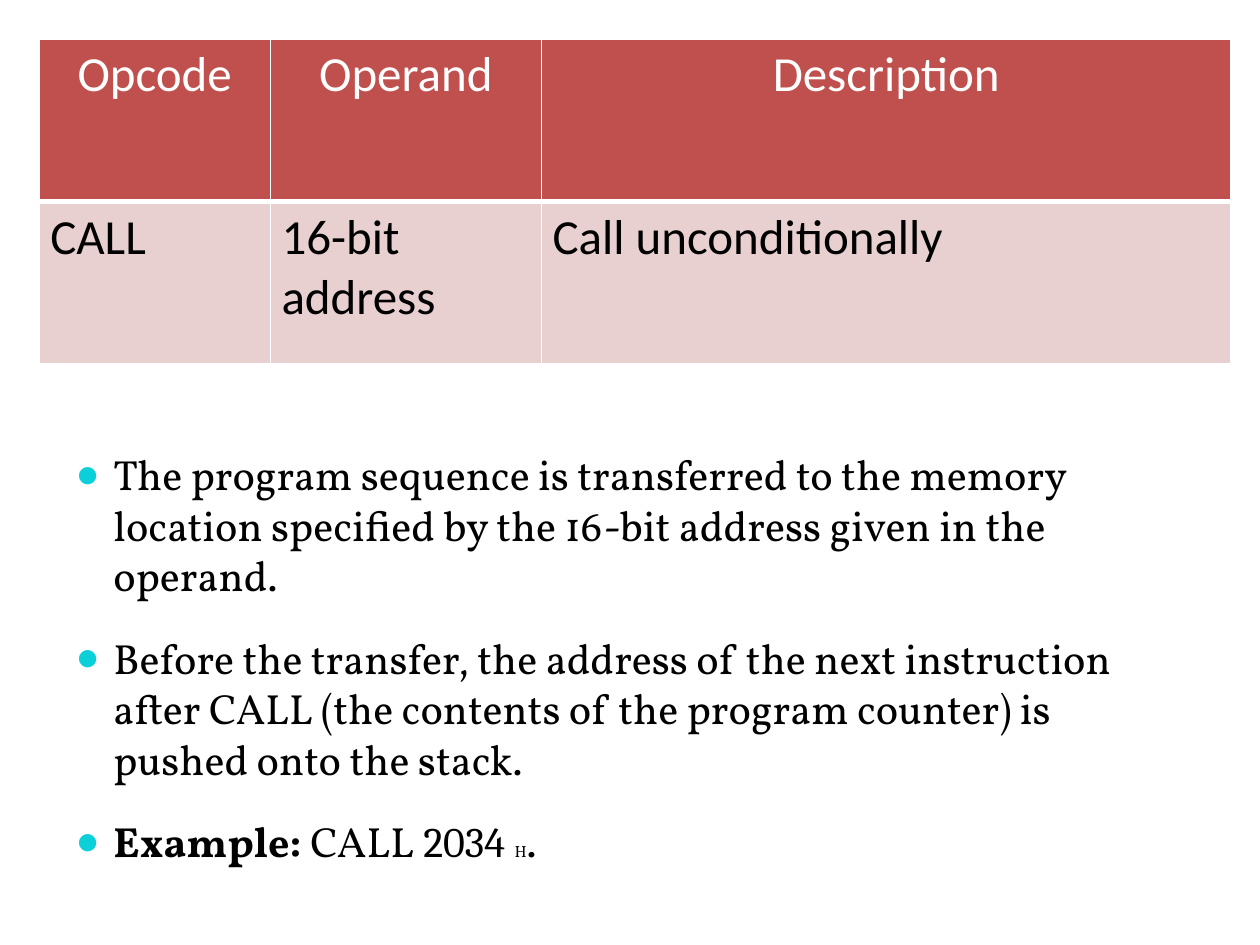
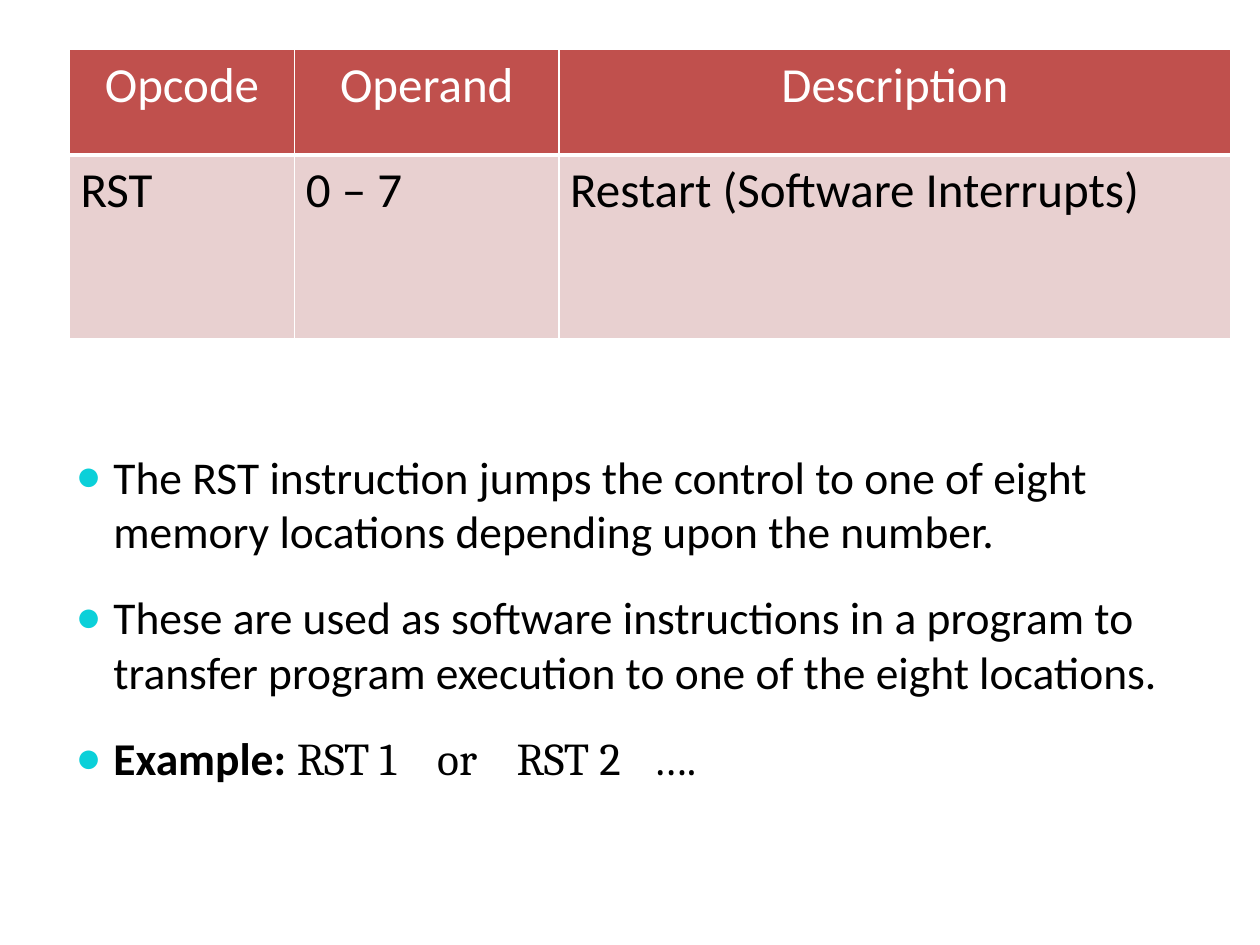
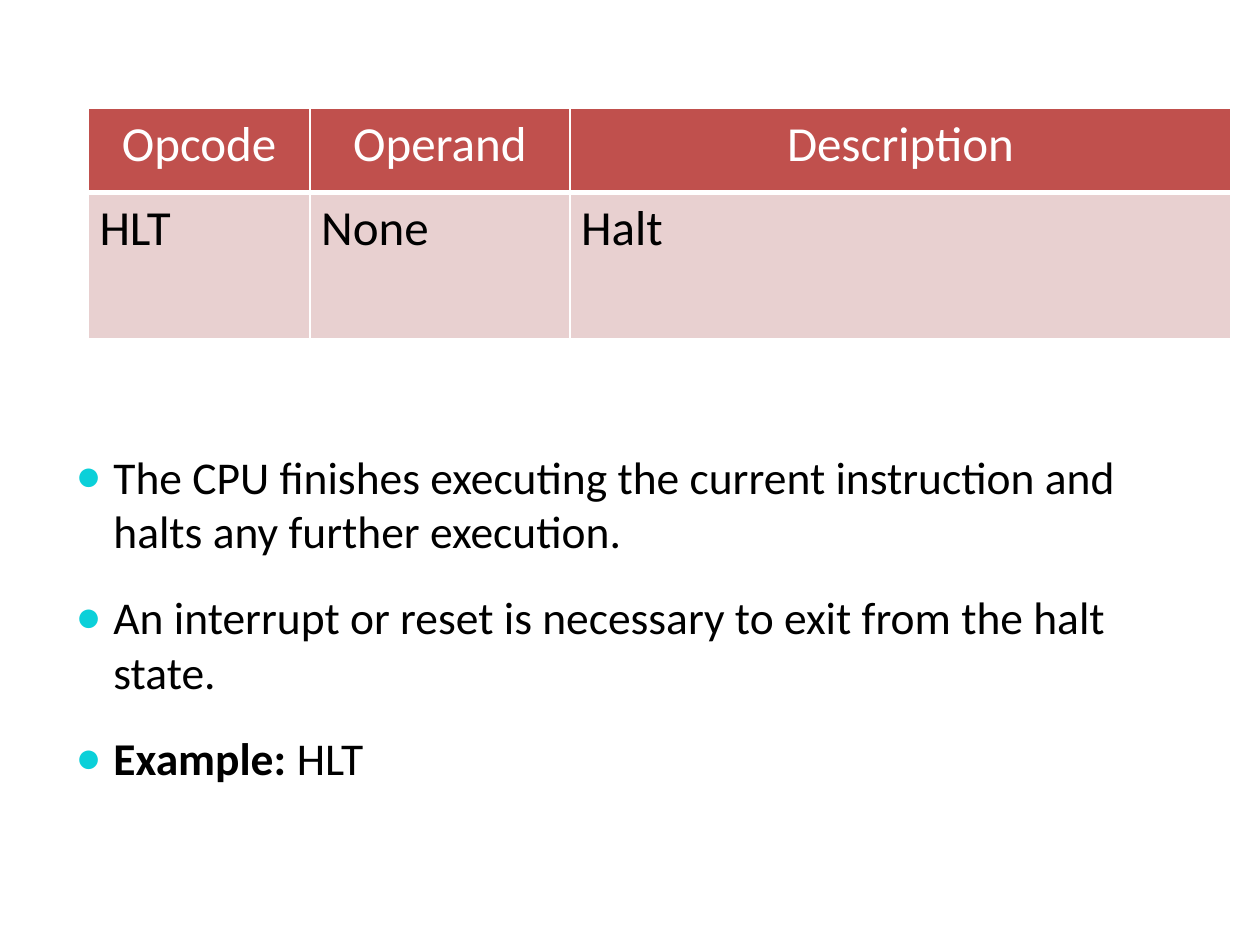
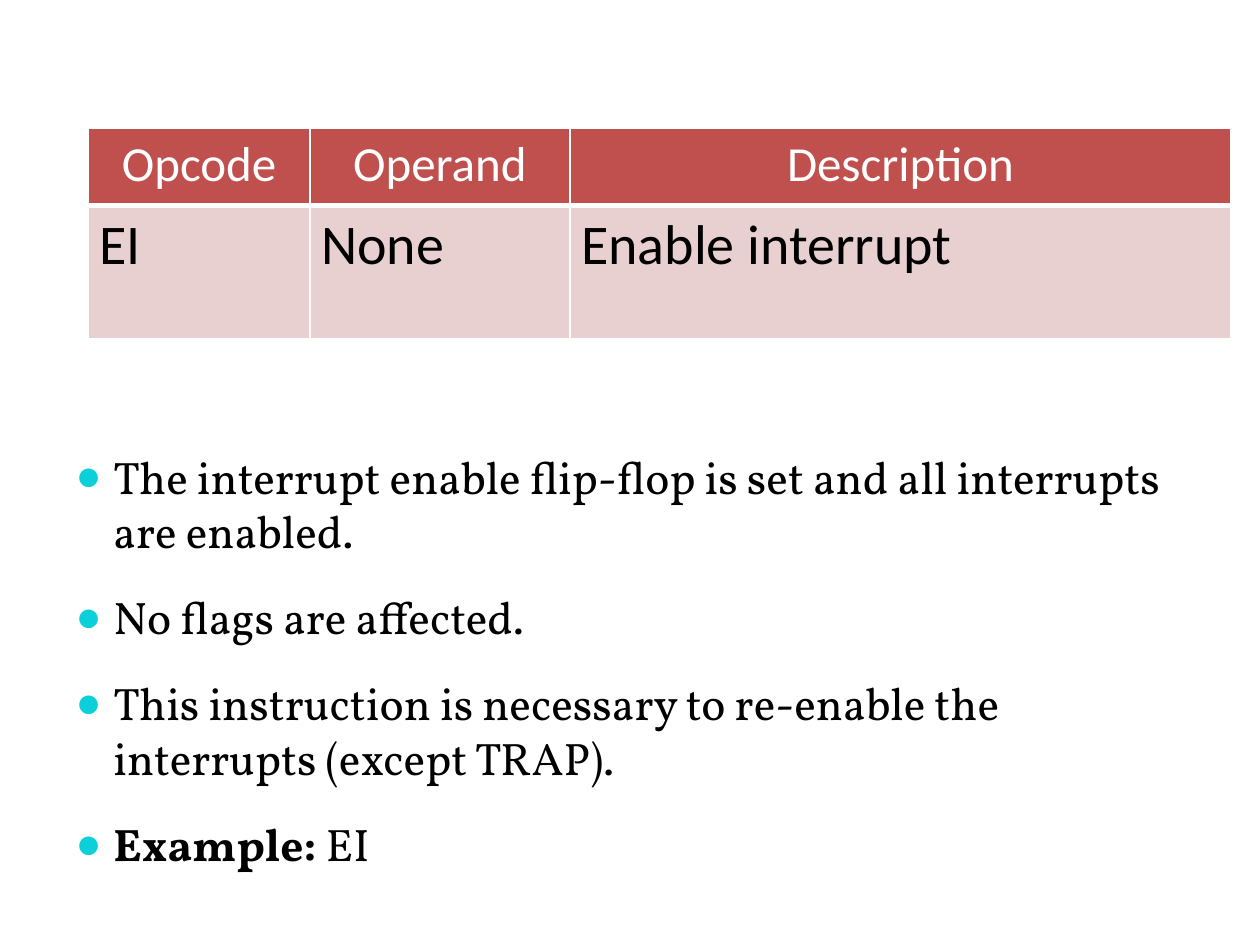
from lxml import etree
from pptx import Presentation
from pptx.dml.color import RGBColor
from pptx.enum.text import MSO_AUTO_SIZE, PP_ALIGN
from pptx.oxml.ns import qn
from pptx.util import Inches, Pt

CENTER, LEFT = PP_ALIGN.CENTER, PP_ALIGN.LEFT
NO_AUTOFIT = MSO_AUTO_SIZE.NONE

WHITE = RGBColor(0xFF, 0xFF, 0xFF)
BLACK = RGBColor(0x00, 0x00, 0x00)
HEADER_RED = RGBColor(0xC0, 0x50, 0x4D)
ROW_PINK = RGBColor(0xE8, 0xD0, 0xD0)
BULLET_CYAN = RGBColor(0x0B, 0xD0, 0xD9)

HEADERS = ["Opcode", "Operand", "Description"]
COLUMN_SHARES = [0.194, 0.2275, 0.5785]
TABLE_RIGHT = 9.77
BODY_LEFT, BODY_TOP, BODY_WIDTH = 0.5, 3.51, 9
EXAMPLE_TABS = [2.87, 3.5, 4.58]

# A bullet is a list of runs: (text, font changes from the slide's body font)
BOLD = {"bold": True}
SERIF = {"name": "Cambria"}
SLIDES = [
    {
        "left": 0.31, "top": 0.31, "rows": [1.29, 1.29], "row_size": 28,
        "cells": ["CALL", "16-bit address", "Call unconditionally"],
        "font": "Vollkorn", "size": 24.1, "body_height": 3.31,
        "bullets": [
            [("The program sequence is transferred to the memory location "
              "specified by the 16-bit address given in the operand.", {})],
            [("Before the transfer, the address of the next instruction after "
              "CALL (the contents of the program counter) is pushed onto the "
              "stack.", {})],
            [("Example:", BOLD), (" CALL", {}), (" 2034 ", SERIF),
             ("H", {"size": Pt(9.2)}), (".", {})],
        ],
    },
    {
        "left": 0.55, "top": 0.39, "rows": [0.84, 1.46], "row_size": 28,
        "cells": ["RST", "0 – 7", "Restart (Software Interrupts)"],
        "font": "Calibri", "size": 26, "body_height": 3.4,
        "bullets": [
            [("The RST instruction jumps the control to one of eight memory "
              "locations depending upon the number.", {})],
            [("These are used as software instructions in a program to "
              "transfer program execution to one of the eight locations.", {})],
            [("Example: ", BOLD), ("RST 1\tor\tRST 2\t….", SERIF)],
        ],
    },
    {
        "left": 0.7, "top": 0.86, "rows": [0.67, 1.16], "row_size": 28,
        "cells": ["HLT", "None", "Halt"],
        "font": "Calibri", "size": 26, "body_height": 3.4,
        "bullets": [
            [("The CPU finishes executing the current instruction and halts "
              "any further execution.", {})],
            [("An interrupt or reset is necessary to exit from the halt "
              "state.", {})],
            [("Example:", BOLD), (" HLT", {})],
        ],
    },
    {
        "left": 0.7, "top": 1.02, "rows": [0.61, 1.06], "row_size": 32,
        "cells": ["EI", "None", "Enable interrupt"],
        "font": "Vollkorn", "size": 26, "body_height": 3.4,
        "bullets": [
            [("The interrupt enable flip-flop is set and all interrupts are "
              "enabled.", {})],
            [("No flags are affected.", {})],
            [("This instruction is necessary to re-enable the interrupts "
              "(except TRAP).", {})],
            [("Example: ", BOLD), ("EI", {})],
        ],
    },
]


def set_borders(cell, bottom_width):
    """Draw white lines round a cell, 1 pt wide except at the bottom."""
    tc_pr = cell._tc.get_or_add_tcPr()
    widths = {"a:lnL": 1, "a:lnR": 1, "a:lnT": 1, "a:lnB": bottom_width}
    for i, (tag, width) in enumerate(widths.items()):
        ln = etree.Element(qn(tag), w=str(Pt(width)))
        fill = etree.SubElement(ln, qn("a:solidFill"))
        etree.SubElement(fill, qn("a:srgbClr"), val=str(WHITE))
        tc_pr.insert(i, ln)


def add_bullet(p, tabs):
    p_pr = p._p.get_or_add_pPr()
    p_pr.set("marL", str(Inches(0.3)))
    p_pr.set("indent", str(-Inches(0.3)))
    color = etree.SubElement(p_pr, qn("a:buClr"))
    etree.SubElement(color, qn("a:srgbClr"), val=str(BULLET_CYAN))
    etree.SubElement(p_pr, qn("a:buSzPct"), val="95000")
    etree.SubElement(p_pr, qn("a:buChar"), char="●")
    if tabs:
        tab_list = etree.SubElement(p_pr, qn("a:tabLst"))
        for tab in tabs:
            etree.SubElement(tab_list, qn("a:tab"), pos=str(Inches(tab)), algn="l")


prs = Presentation()
prs.slide_width, prs.slide_height = Inches(10), Inches(7.5)
layout = prs.slide_layouts[1]

for data in SLIDES:
    slide = prs.slides.add_slide(layout)
    title = slide.shapes.title
    title._element.getparent().remove(title._element)

    # Instruction table
    width = TABLE_RIGHT - data["left"]
    table = slide.shapes.add_table(
        2, 3, Inches(data["left"]), Inches(data["top"]),
        Inches(width), Inches(sum(data["rows"]))).table
    for column, share in zip(table.columns, COLUMN_SHARES):
        column.width = Inches(width * share)
    for row, height in zip(table.rows, data["rows"]):
        row.height = Inches(height)
    row_styles = [
        (HEADERS, HEADER_RED, WHITE, 28, CENTER, 3),
        (data["cells"], ROW_PINK, BLACK, data["row_size"], LEFT, 1),
    ]
    for row, (texts, fill, color, size, align, bottom) in zip(table.rows, row_styles):
        for cell, text in zip(row.cells, texts):
            cell.text = text
            cell.margin_left = cell.margin_right = Inches(0.09)
            cell.fill.solid()
            cell.fill.fore_color.rgb = fill
            set_borders(cell, bottom)
            p = cell.text_frame.paragraphs[0]
            p.alignment = align
            p.font.name, p.font.size, p.font.bold = "Calibri", Pt(size), False
            p.font.color.rgb = color

    # Explanation
    body = slide.placeholders[1]
    body.left, body.top = Inches(BODY_LEFT), Inches(BODY_TOP)
    body.width, body.height = Inches(BODY_WIDTH), Inches(data["body_height"])
    tf = body.text_frame
    tf.auto_size = NO_AUTOFIT
    for i, runs in enumerate(data["bullets"]):
        p = tf.paragraphs[0] if i == 0 else tf.add_paragraph()
        has_tabs = any("\t" in text for text, _ in runs)
        add_bullet(p, EXAMPLE_TABS if has_tabs else [])
        p.space_before, p.space_after = Pt(0), Pt(18)
        p.font.name, p.font.size = data["font"], Pt(data["size"])
        p.font.color.rgb = BLACK
        for text, changes in runs:
            r = p.add_run()
            r.text = text
            for attribute, value in changes.items():
                setattr(r.font, attribute, value)

prs.save("out.pptx")
